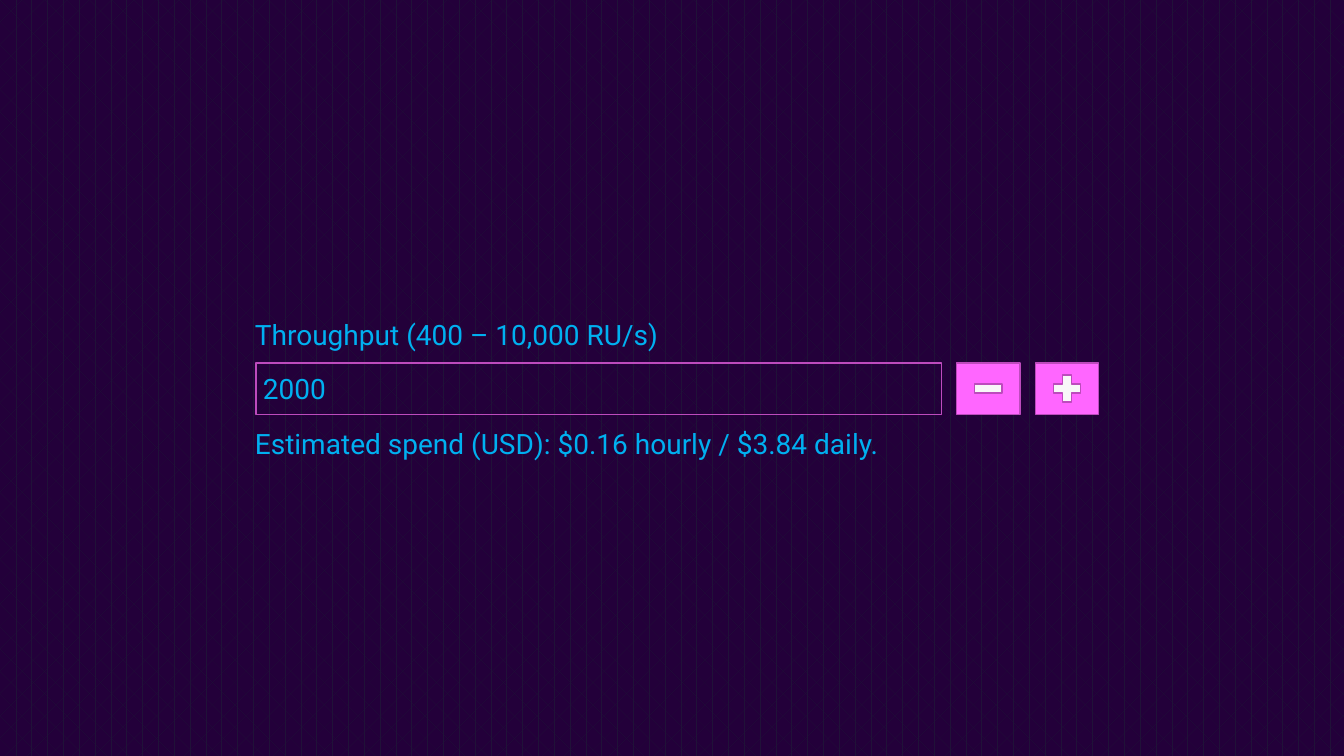
from dataclasses import dataclass

from pptx import Presentation
from pptx.dml.color import RGBColor
from pptx.enum.dml import MSO_PATTERN
from pptx.enum.shapes import MSO_SHAPE
from pptx.enum.text import MSO_AUTO_SIZE
from pptx.util import Pt

RECTANGLE = MSO_SHAPE.RECTANGLE
MINUS = MSO_SHAPE.MATH_MINUS
PLUS = MSO_SHAPE.MATH_PLUS
DIVOT = MSO_PATTERN.DIVOT
FIT_SHAPE = MSO_AUTO_SIZE.SHAPE_TO_FIT_TEXT


@dataclass(frozen=True)
class Theme:
    backdrop: RGBColor = RGBColor.from_string("23003A")
    pattern: RGBColor = RGBColor.from_string("201238")
    text: RGBColor = RGBColor.from_string("00B0F0")
    button: RGBColor = RGBColor.from_string("FF66FF")
    border: RGBColor = RGBColor.from_string("BD4BBD")
    sign: RGBColor = RGBColor.from_string("F8F8F8")
    font: str = "Roboto"
    size: int = 20


theme = Theme()

deck = Presentation()
deck.slide_width = Pt(960)
deck.slide_height = Pt(540)
page = deck.slides.add_slide(deck.slide_layouts[6])
backdrop = page.background.fill
backdrop.patterned()
backdrop.pattern = DIVOT
backdrop.fore_color.rgb = theme.pattern
backdrop.back_color.rgb = theme.backdrop


def add_outlined(kind, left, top, width, height, color=None):
    shape = page.shapes.add_shape(kind, Pt(left), Pt(top), Pt(width), Pt(height))
    shape.shadow.inherit = False
    if color is None:
        shape.fill.background()
    else:
        shape.fill.solid()
        shape.fill.fore_color.rgb = color
    shape.line.color.rgb = theme.border
    shape.line.width = Pt(1)


ROW_TOP = 259.2
ROW_HEIGHT = 36.7
BUTTON_LEFT = 683.3
BUTTON_WIDTH = 45.4
BUTTON_STEP = 56.2
SIGN_SIZE = 26.6

add_outlined(RECTANGLE, 183, ROW_TOP, 489.6, ROW_HEIGHT)

for index, sign in enumerate((MINUS, PLUS)):
    left = BUTTON_LEFT + index * BUTTON_STEP
    add_outlined(RECTANGLE, left, ROW_TOP, BUTTON_WIDTH, ROW_HEIGHT, theme.button)
    add_outlined(
        sign,
        left + (BUTTON_WIDTH - SIGN_SIZE) / 2,
        ROW_TOP + (ROW_HEIGHT - SIGN_SIZE) / 2,
        SIGN_SIZE,
        SIGN_SIZE,
        theme.sign,
    )

labels = (
    ("Throughput (400 – 10,000 RU/s)", 175, 223.2, 305.3),
    ("2000", 180.7, 262.1, 59.8),
    ("Estimated spend (USD): $0.16 hourly / $3.84 daily.", 175, 301, 465.1),
)
for words, left, top, width in labels:
    box = page.shapes.add_textbox(Pt(left), Pt(top), Pt(width), Pt(31.7))
    frame = box.text_frame
    frame.word_wrap = False
    frame.auto_size = FIT_SHAPE
    span = frame.paragraphs[0].add_run()
    span.text = words
    span.font.name = theme.font
    span.font.size = Pt(theme.size)
    span.font.color.rgb = theme.text

deck.save("out.pptx")
